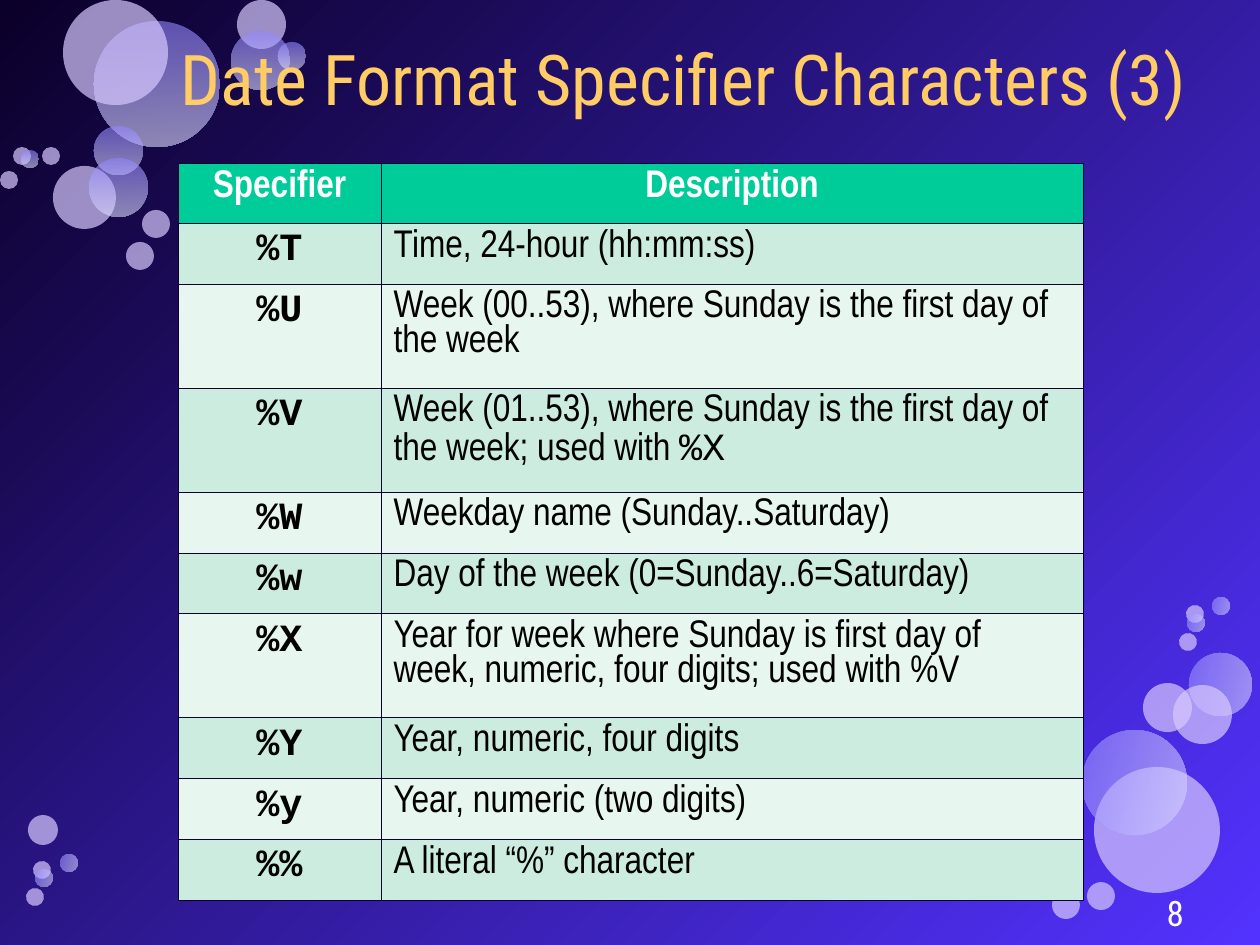
from lxml.etree import SubElement
from pptx import Presentation
from pptx.dml.color import RGBColor
from pptx.enum.shapes import MSO_SHAPE as Shape
from pptx.enum.text import MSO_ANCHOR as Anchor, PP_ALIGN as Align
from pptx.oxml import parse_xml
from pptx.oxml.ns import nsdecls, qn
from pptx.util import Pt

SCALE = 914400 / 126
NARROW, MONO, TITLE_FONT = "Arial Narrow", "Courier New", "Roboto Condensed"
TITLE = "Date Format Specifier Characters (3)"
HEADERS = ["Specifier", "Description"]
SPECIFIERS = [
    ("%T", ["Time, 24-hour (hh:mm:ss)"], 1),
    ("%U", ["Week (00..53), where Sunday is the first day of the week"], 2),
    ("%V", ["Week (01..53), where Sunday is the first day of the week; used with ", "%X"], 2),
    ("%W", ["Weekday name (Sunday..Saturday)"], 1),
    ("%w", ["Day of the week (0=Sunday..6=Saturday)"], 1),
    ("%X", ["Year for week where Sunday is first day of week, numeric, four digits; used with %V"], 2),
    ("%Y", ["Year, numeric, four digits"], 1),
    ("%y", ["Year, numeric (two digits)"], 1),
    ("%%", ["A literal “%” character"], 1),
]
TABLE_LEFT, TABLE_TOP = 178, 163
COLUMNS = [203, 702]
HEADER_HEIGHT = 60
ROW_HEIGHTS = {1: 61, 2: 104}
BANDS = ["CBECDE", "E7F6EF"]
UPPER_BUBBLES = [
    (94, 21, 126, "shaded"), (53, 166, 63, "plain"), (94, 126, 49, "shaded"),
    (89, 158, 59, "shaded"), (63, 0, 105, "plain"), (237, 0, 49, "plain"),
    (231, 31, 59, "shaded"), (278, 42, 28, "shaded"), (142, 210, 28, "plain"),
    (13, 147, 18, "plain"), (126, 242, 28, "plain"), (0, 171, 18, "plain"),
    (21, 150, 18, "shaded"), (42, 147, 18, "plain"),
]
LOWER_BUBBLES = [
    (1094, 767, 126, "plain"), (1189, 653, 63, "shaded"), (1143, 683, 49, "plain"),
    (1173, 685, 59, "plain"), (1082, 730, 105, "shaded"), (28, 815, 30, "plain"),
    (1052, 891, 28, "plain"), (1186, 605, 18, "plain"), (1087, 882, 28, "plain"),
    (1212, 597, 18, "shaded"), (1187, 614, 18, "shaded"), (1179, 633, 18, "plain"),
    (33, 861, 18, "plain"), (60, 854, 18, "shaded"), (35, 869, 18, "shaded"),
    (26, 888, 18, "plain"),
]


def px(value):
    return round(value * SCALE)


def color(value):
    return RGBColor.from_string(value)


def apply(target, values):
    for name, value in values.items():
        setattr(target, name, value)


def solid(fill, value):
    fill.solid()
    fill.fore_color.rgb = color(value)


def gradient(fill, colors, angle):
    fill.gradient()
    fill.gradient_angle = 360 - angle
    for stop, value in zip(fill.gradient_stops, colors):
        stop.color.rgb = color(value)


def add_bubble(page, left, top, size, style, turned):
    bubble = page.shapes.add_shape(Shape.OVAL, px(left), px(top), px(size), px(size))
    bubble.shadow.inherit = False
    bubble.line.fill.background()
    if style == "shaded":
        gradient(bubble.fill, ["9185FF", "DEDCFF"], 90)
    else:
        solid(bubble.fill, "D7C8FE")
    opacity = "60000" if style == "shaded" else "70000"
    for tint in bubble.fill._xPr.iter(qn("a:srgbClr")):
        SubElement(tint, qn("a:alpha"), val=opacity)
    if turned:
        bubble.rotation = 103.3
        bubble._element.spPr.xfrm.set("flipV", "1")


def write(frame, spans, size, tint, align, spacing):
    para = frame.paragraphs[0]
    apply(para, {"alignment": align, "line_spacing": spacing})
    for text, font, bold in spans:
        span = para.add_run()
        span.text = text
        apply(span.font, {"name": font, "size": Pt(size), "bold": bold})
        span.font.color.rgb = color(tint)


def add_text(page, bounds, text, size, tint, align, inset):
    box = page.shapes.add_textbox(*map(px, bounds))
    frame = box.text_frame
    apply(frame, {"word_wrap": True, "vertical_anchor": Anchor.MIDDLE,
                  "margin_left": px(inset), "margin_right": px(inset),
                  "margin_top": px(inset / 2), "margin_bottom": px(inset / 2)})
    write(frame, [(text, TITLE_FONT, False)], size, tint, align, 0.85)


def fill_cell(cell, background, *text_format):
    solid(cell.fill, background)
    properties = cell._tc.get_or_add_tcPr()
    for index, side in enumerate("LRTB"):
        properties.insert(index, parse_xml(
            f'<a:ln{side} {nsdecls("a")} w="5715"><a:solidFill>'
            f'<a:srgbClr val="0C002C"/></a:solidFill></a:ln{side}>'))
    write(cell.text_frame, *text_format)


def add_specifier_table(page):
    heights = [HEADER_HEIGHT] + [ROW_HEIGHTS[lines] for _, _, lines in SPECIFIERS]
    bounds = (TABLE_LEFT, TABLE_TOP, sum(COLUMNS), sum(heights))
    table = page.shapes.add_table(len(heights), len(COLUMNS), *map(px, bounds)).table
    for column, width in zip(table.columns, COLUMNS):
        column.width = px(width)
    for row, height in zip(table.rows, heights):
        row.height = px(height)
    for index, header in enumerate(HEADERS):
        fill_cell(table.cell(0, index), "00CC99", [(header, NARROW, True)],
                  22, "FFFFFF", Align.CENTER, 0.96)
    for index, (specifier, description, _) in enumerate(SPECIFIERS):
        band = BANDS[index % 2]
        spans = [(text, font, False) for text, font in zip(description, [NARROW, MONO])]
        fill_cell(table.cell(index + 1, 0), band, [(specifier, MONO, True)],
                  22, "000000", Align.CENTER, 0.89)
        fill_cell(table.cell(index + 1, 1), band, spans,
                  22, "000000", Align.LEFT, 0.96)


def main():
    deck = Presentation()
    apply(deck, {"slide_width": px(1260), "slide_height": px(945)})
    page = deck.slides.add_slide(deck.slide_layouts[6])
    gradient(page.background.fill, ["0B0029", "5332FF"], 45)
    for bubbles, turned in [(UPPER_BUBBLES, False), (LOWER_BUBBLES, True)]:
        for bubble in bubbles:
            add_bubble(page, *bubble, turned)
    add_text(page, (131, 29, 1105, 111), TITLE, 40, "FFCC66", Align.CENTER, 0)
    add_specifier_table(page)
    add_text(page, (903, 898, 294, 35), "8", 20, "FFFFFF", Align.RIGHT, 13)
    deck.save("out.pptx")


if __name__ == "__main__":
    main()
